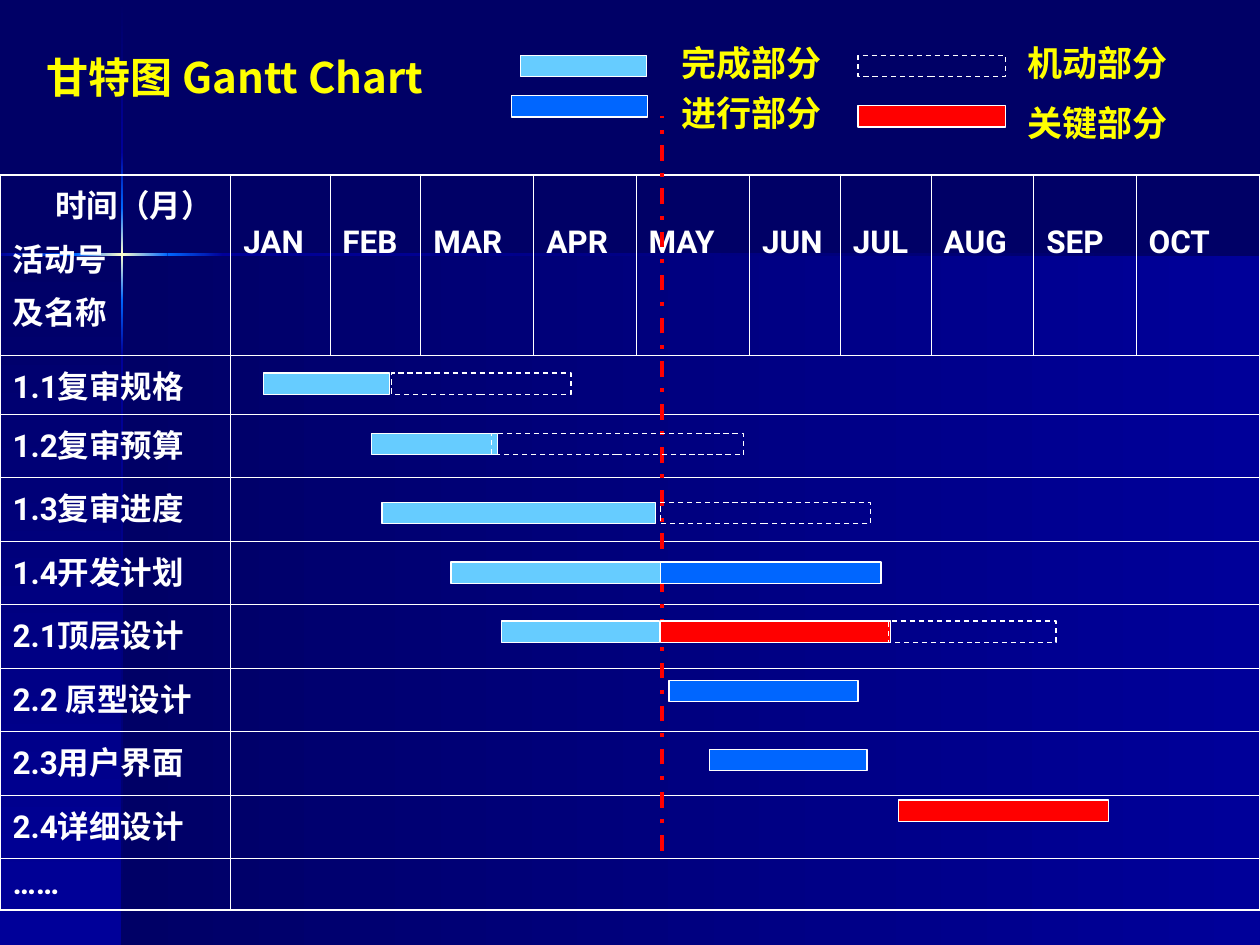
import dataclasses
import itertools

import pptx
import pptx.dml.color
import pptx.enum.dml
import pptx.enum.shapes
import pptx.enum.text
import pptx.oxml
import pptx.oxml.ns
import pptx.util

Cm, Pt = pptx.util.Cm, pptx.util.Pt
Align = pptx.enum.text.PP_ALIGN
Dash = pptx.enum.dml.MSO_LINE


@dataclasses.dataclass(frozen=True)
class Theme:
    night: str = "000066"
    deep: str = "000099"
    blue: str = "0066FF"
    cream: str = "FFFFCC"
    sky: str = "66CCFF"
    red: str = "FF0000"
    white: str = "FFFFFF"
    yellow: str = "FFFF00"
    sans: str = "Noto Sans CJK SC"
    grid: str = "Roboto"
    serif: str = "Times New Roman"
    title: int = 24
    label: int = 20
    cell: int = 18
    thick: float = 1.08
    thin: float = 0.45


T = Theme()
FILLS = {"done": T.sky, "active": T.blue, "key": T.red, "slack": None}
BAR = 0.43

MONTHS = ["JAN", "FEB", "MAR", "APR", "MAY", "JUN", "JUL", "AUG", "SEP", "OCT"]
COLS = [4.65, 2, 1.83, 2.28, 2.06, 2.29, 1.83, 1.83, 2.07, 2.06, 2.5]
HEAD, ROW, LAST = 3.63, 1.28, 1.02

# Task name, top of its bars, then (kind, left, width) of each bar
TASKS = [
    ("1.1复审规格", 7.52, [("done", 5.31, 2.54), ("slack", 7.9, 3.61)]),
    ("1.2复审预算", 8.74, [("done", 7.49, 2.54), ("slack", 9.91, 5.08)]),
    ("1.3复审进度", 10.13, [("done", 7.7, 5.51), ("slack", 13.31, 4.24)]),
    ("1.4开发计划", 11.33, [("done", 9.09, 4.45), ("active", 13.31, 4.45)]),
    ("2.1顶层设计", 12.52, [("done", 10.11, 3.18), ("key", 13.31, 4.65),
                        ("slack", 17.91, 3.38)]),
    ("2.2 原型设计", 13.72, [("active", 13.49, 3.81)]),
    ("2.3用户界面", 15.11, [("active", 14.3, 3.18)]),
    ("2.4详细设计", 16.13, [("key", 18.11, 4.24)]),
    ("……", 0, []),
]

# Kind, bar (left, top, width), label text, label (left, top, width)
LEGEND = [
    ("done", (10.49, 1.12, 2.54), "完成部分", (13.11, 0.71, 4.09)),
    ("active", (10.31, 1.93, 2.74), "进行部分", (12.7, 1.73, 4.9)),
    ("slack", (17.3, 1.12, 2.97), "机动部分", (19.71, 0.71, 4.85)),
    ("key", (17.3, 2.13, 2.97), "关键部分", (19.91, 1.93, 4.45)),
]


def color(code):
    return pptx.dml.color.RGBColor.from_string(code)


def add_run(para, text, size, face, code):
    run = para.add_run()
    run.text = text
    font = run.font
    font.size, font.name, font.bold = Pt(size), face, True
    font.color.rgb = color(code)
    east = pptx.oxml.parse_xml(
        f'<a:ea {pptx.oxml.ns.nsdecls("a")} typeface="{T.sans}"/>')
    font.fill  # the fill stays ahead of the typefaces
    run.font._element.find(pptx.oxml.ns.qn("a:latin")).addnext(east)


def add_rect(slide, left, top, width, height):
    kind = pptx.enum.shapes.MSO_SHAPE.RECTANGLE
    rect = slide.shapes.add_shape(kind, Cm(left), Cm(top), Cm(width), Cm(height))
    rect.shadow.inherit = False
    return rect


def add_glow(slide, box, stops, angle):
    """Add a borderless panel whose colours run evenly along the angle."""
    rect = add_rect(slide, *box)
    rect.line.fill.background()
    rect.fill.background()
    marks = "".join(
        f'<a:gs pos="{100000 * i // (len(stops) - 1)}"><a:srgbClr val="{code}"/></a:gs>'
        for i, code in enumerate(stops))
    grad = pptx.oxml.parse_xml(
        f'<a:gradFill {pptx.oxml.ns.nsdecls("a")}><a:gsLst>{marks}</a:gsLst>'
        f'<a:lin ang="{angle * 60000}" scaled="0"/></a:gradFill>')
    props = rect.element.spPr
    props.replace(props.find(pptx.oxml.ns.qn("a:noFill")), grad)


def add_back(slide):
    """Paint the two panels and the cross of light that parts them."""
    fill = slide.background.fill
    fill.solid()
    fill.fore_color.rgb = color(T.night)
    add_glow(slide, (2.46, 5.13, 22.94, 13.92), (T.deep, T.night), 180)
    add_glow(slide, (0, 5.13, 2.46, 13.92), (T.night, T.deep), 90)
    beams = [(T.night, T.deep), (T.deep, T.blue), (T.blue, T.cream, T.blue),
             (T.blue, T.deep), (T.deep, T.night)]
    downs = itertools.pairwise([0.03, 3.07, 4.19, 6.05, 7.16, 19.05])
    for (top, end), stops in zip(downs, beams):
        add_glow(slide, (2.44, top, 0.05, end - top), stops, 90)
    lefts = itertools.pairwise([25.4, 4.5, 3.38, 1.53, 0])
    for (right, left), stops in zip(lefts, beams):
        add_glow(slide, (left, 5.11, right - left, 0.05), stops, 180)


def add_title(slide):
    title = slide.shapes.title
    title.element.getparent().append(title.element)
    title.left, title.top = Cm(0.69), Cm(0.91)
    title.width, title.height = Cm(23.93), Cm(16.31)
    frame = title.text_frame
    frame.auto_size = pptx.enum.text.MSO_AUTO_SIZE.NONE
    frame.vertical_anchor = pptx.enum.text.MSO_ANCHOR.TOP
    para = frame.paragraphs[0]
    para.alignment = Align.JUSTIFY
    add_run(para, "甘特图 Gantt Chart", T.title, T.sans, T.yellow)


def fill_cell(cell, lines):
    for i, text in enumerate(lines):
        frame = cell.text_frame
        para = frame.add_paragraph() if i else frame.paragraphs[0]
        para.space_before = Pt(4.5)
        add_run(para, text, T.cell, T.grid, T.white)


def set_edges(cell, sides):
    """Draw each side ("L", "R", "T", "B") thick if its flag is true."""
    cell.fill.background()
    props = cell._tc.get_or_add_tcPr()
    for i, (side, outer) in enumerate(sides.items()):
        width = Pt(T.thick if outer else T.thin)
        props.insert(i, pptx.oxml.parse_xml(
            f'<a:ln{side} {pptx.oxml.ns.nsdecls("a")} w="{width}"><a:solidFill>'
            f'<a:srgbClr val="{T.white}"/></a:solidFill></a:ln{side}>'))


def add_grid(slide):
    rows = [HEAD] + [ROW] * (len(TASKS) - 1) + [LAST]
    rows[1] = 1.19
    table = slide.shapes.add_table(
        len(rows), len(COLS), Cm(0), Cm(3.53), Cm(sum(COLS)), Cm(sum(rows))).table
    table.first_row = table.horz_banding = False
    for col, width in zip(table.columns, COLS):
        col.width = Cm(width)
    for row, height in zip(table.rows, rows):
        row.height = Cm(height)

    corner = table.cell(0, 0)
    fill_cell(corner, ["时间（月）", "活动号", "及名称"])
    corner.text_frame.paragraphs[0]._p.get_or_add_pPr().set("marL", str(Cm(0.86)))
    for c, month in enumerate(MONTHS, 1):
        cell = table.cell(0, c)
        cell.margin_top = Cm(1)
        fill_cell(cell, [month])
    for r, (name, *_) in enumerate(TASKS, 1):
        fill_cell(table.cell(r, 0), [name])
        table.cell(r, 1).merge(table.cell(r, len(MONTHS)))

    for r, c in itertools.product(range(len(rows)), range(len(COLS))):
        cell = table.cell(r, c)
        set_edges(cell, {"L": c == 0, "R": c + cell.span_width == len(COLS),
                         "T": r == 0, "B": r == len(rows) - 1})


def add_today(slide):
    kind = pptx.enum.shapes.MSO_CONNECTOR.STRAIGHT
    line = slide.shapes.add_connector(kind, Cm(13.34), Cm(17.15), Cm(13.34), Cm(2.34))
    line.line.color.rgb = color(T.red)
    line.line.width = Pt(2.25)
    line.line.dash_style = Dash.DASH_DOT
    line.element.spPr.append(
        pptx.oxml.parse_xml(f'<a:effectLst {pptx.oxml.ns.nsdecls("a")}/>'))


def add_bar(slide, kind, left, top, width):
    bar = add_rect(slide, left, top, width, BAR)
    bar.line.color.rgb = color(T.white)
    bar.line.width = Pt(0.75)
    if FILLS[kind]:
        bar.fill.solid()
        bar.fill.fore_color.rgb = color(FILLS[kind])
    else:
        bar.fill.background()
        bar.line.dash_style = Dash.DASH


def add_label(slide, text, left, top, width):
    box = slide.shapes.add_textbox(Cm(left), Cm(top), Cm(width), Cm(1.12))
    box.text_frame.word_wrap = True
    para = box.text_frame.paragraphs[0]
    para.alignment = Align.CENTER
    add_run(para, text, T.label, T.serif, T.yellow)


def main():
    deck = pptx.Presentation()
    deck.slide_width, deck.slide_height = Cm(25.4), Cm(19.05)
    slide = deck.slides.add_slide(deck.slide_layouts.get_by_name("Title Only"))
    add_back(slide)
    add_title(slide)
    add_grid(slide)
    add_today(slide)
    for _, top, bars in TASKS:
        for kind, left, width in bars:
            add_bar(slide, kind, left, top, width)
    for kind, bar, text, label in LEGEND:
        add_bar(slide, kind, *bar)
        add_label(slide, text, *label)
    deck.save("out.pptx")


if __name__ == "__main__":
    main()
